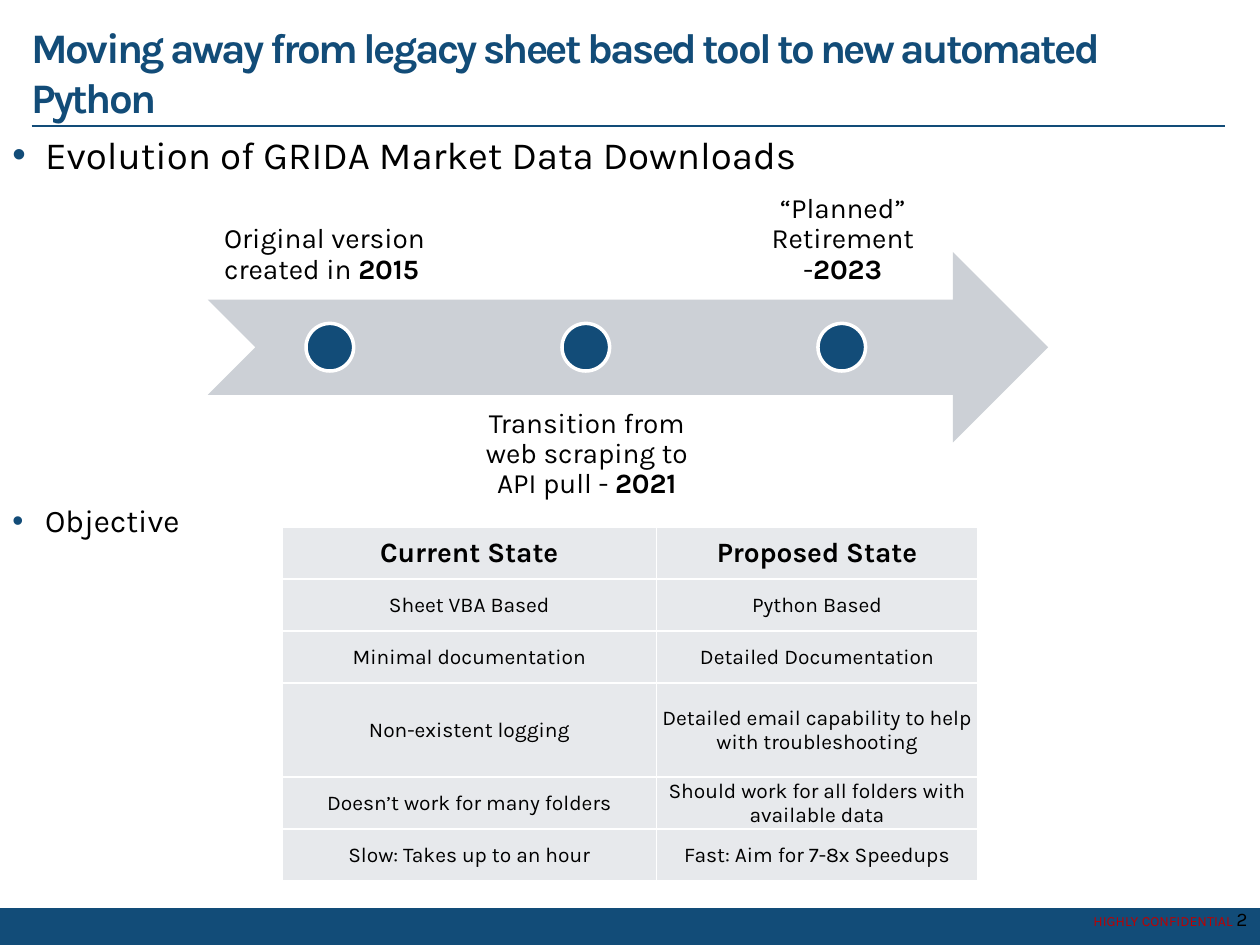
from dataclasses import dataclass

from lxml import etree
from pptx import Presentation
from pptx.dml.color import RGBColor
from pptx.enum.shapes import MSO_CONNECTOR, MSO_SHAPE
from pptx.enum.text import MSO_ANCHOR, MSO_AUTO_SIZE, PP_ALIGN
from pptx.oxml.ns import qn
from pptx.util import Cm, Pt

LEFT, CENTER, RIGHT = PP_ALIGN.LEFT, PP_ALIGN.CENTER, PP_ALIGN.RIGHT
TOP, MIDDLE, BOTTOM = MSO_ANCHOR.TOP, MSO_ANCHOR.MIDDLE, MSO_ANCHOR.BOTTOM
NO_AUTOSIZE = MSO_AUTO_SIZE.NONE
RECTANGLE, OVAL = MSO_SHAPE.RECTANGLE, MSO_SHAPE.OVAL
NOTCHED_ARROW = MSO_SHAPE.NOTCHED_RIGHT_ARROW
STRAIGHT = MSO_CONNECTOR.STRAIGHT


@dataclass(frozen=True)
class Theme:
    font: str = "Karla"
    navy: str = "124C78"
    black: str = "000000"
    white: str = "FFFFFF"
    red: str = "C00000"
    arrow: str = "CCD0D6"
    cell: str = "E7E9EC"
    title: int = 24
    heading: int = 22
    subheading: int = 18
    label: int = 16
    table: int = 12
    page: int = 11
    notice: int = 8


THEME = Theme()

MILESTONES = [
    ("Original version created in ", "2015", LEFT, True),
    ("Transition from web scraping to API pull - ", "2021", CENTER, False),
    ("“Planned” Retirement -", "2023", CENTER, True),
]
STATES = [
    ("Current State", "Proposed State"),
    ("Sheet VBA Based", "Python Based"),
    ("Minimal documentation", "Detailed Documentation"),
    ("Non-existent logging", "Detailed email capability to help with troubleshooting"),
    ("Doesn’t work for many folders", "Should work for all folders with available data"),
    ("Slow: Takes up to an hour", "Fast: Aim for 7-8x Speedups"),
]


def write_text(paragraph, text, size=THEME.label, color=THEME.black, bold=False,
               align=LEFT, line_spacing=None, tracking=None):
    paragraph.alignment = align
    if line_spacing:
        paragraph.line_spacing = line_spacing
    run = paragraph.add_run()
    run.text = text
    run.font.name = THEME.font
    run.font.size = Pt(size)
    run.font.bold = bold
    run.font.color.rgb = RGBColor.from_string(color)
    if tracking is not None:
        run._r.get_or_add_rPr().set("spc", str(int(tracking * 100)))


def set_frame(frame, anchor=TOP, margin=None, wrap=True):
    frame.word_wrap = wrap
    frame.auto_size = NO_AUTOSIZE
    frame.vertical_anchor = anchor
    if margin is not None:
        frame.margin_left = frame.margin_right = Cm(margin)
        frame.margin_top = frame.margin_bottom = Cm(margin)


def add_text_box(slide, left, top, width, height, **frame_format):
    box = slide.shapes.add_textbox(Cm(left), Cm(top), Cm(width), Cm(height))
    set_frame(box.text_frame, **frame_format)
    return box.text_frame.paragraphs[0]


def add_solid_shape(slide, kind, left, top, width, height, fill, outline=None):
    shape = slide.shapes.add_shape(kind, Cm(left), Cm(top), Cm(width), Cm(height))
    shape.shadow.inherit = False
    shape.fill.solid()
    shape.fill.fore_color.rgb = RGBColor.from_string(fill)
    if outline:
        shape.line.color.rgb = RGBColor.from_string(outline)
        shape.line.width = Pt(2)
    else:
        shape.line.fill.background()


def add_color(parent, color):
    etree.SubElement(parent, qn("a:srgbClr")).set("val", color)


def add_bullet_text(slide, top, text, size):
    paragraph = add_text_box(slide, 0, top, 25.4, 1.2)
    write_text(paragraph, text, size=size)
    properties = paragraph._p.get_or_add_pPr()
    properties.set("marL", str(Cm(0.66)))
    properties.set("indent", str(-Cm(0.66)))
    add_color(etree.SubElement(properties, qn("a:buClr")), THEME.navy)
    etree.SubElement(properties, qn("a:buFont")).set("typeface", "Arial")
    etree.SubElement(properties, qn("a:buChar")).set("char", "•")


def add_title(slide, text):
    title = slide.shapes.title
    title.left, title.top, title.width, title.height = Cm(0.64), Cm(0.36), Cm(24.03), Cm(2.18)
    set_frame(title.text_frame, anchor=MIDDLE, margin=0, wrap=False)
    write_text(title.text_frame.paragraphs[0], text, size=THEME.title,
               color=THEME.navy, bold=True, tracking=-1.5)
    rule = slide.shapes.add_connector(STRAIGHT, Cm(0.64), Cm(2.54), Cm(24.69), Cm(2.54))
    rule.line.color.rgb = RGBColor.from_string(THEME.navy)
    rule.line.width = Pt(1)
    etree.SubElement(rule._element.spPr, qn("a:effectLst"))


def add_footer(slide):
    add_solid_shape(slide, RECTANGLE, 0, 18.31, 25.4, 0.74, THEME.navy)
    paragraph = add_text_box(slide, 19.48, 18.14, 5.92, 0.76, anchor=MIDDLE)
    write_text(paragraph, "HIGHLY CONFIDENTIAL ", size=THEME.notice, color=THEME.red, align=RIGHT)
    write_text(paragraph, "2", size=THEME.page, align=RIGHT)


def add_timeline(slide):
    add_solid_shape(slide, NOTCHED_ARROW, 4.19, 5.08, 16.94, 3.84, THEME.arrow)
    for index, (text, year, align, above) in enumerate(MILESTONES):
        offset = 5.16 * index
        paragraph = add_text_box(slide, 4.22 + offset, 2.21 if above else 7.95, 4.9, 3.84,
                                 anchor=BOTTOM if above else TOP, margin=0.3)
        write_text(paragraph, text, align=align, line_spacing=0.9)
        write_text(paragraph, year, bold=True, align=align, line_spacing=0.9)
        add_solid_shape(slide, OVAL, 6.17 + offset, 6.52, 0.96, 0.96, THEME.navy, THEME.white)


def format_cell(cell, text, header):
    cell.vertical_anchor = MIDDLE
    cell.margin_left = cell.margin_right = cell.margin_top = Cm(0.03)
    cell.margin_bottom = 0
    write_text(cell.text_frame.paragraphs[0], text, align=CENTER, bold=header,
               size=THEME.label if header else THEME.table)
    properties = cell._tc.get_or_add_tcPr()
    for side in ("a:lnL", "a:lnR", "a:lnT", "a:lnB"):
        border = etree.SubElement(properties, qn(side))
        border.set("w", str(Pt(1)))
        add_color(etree.SubElement(border, qn("a:solidFill")), THEME.white)
    cell.fill.solid()
    cell.fill.fore_color.rgb = RGBColor.from_string(THEME.cell)


def add_state_table(slide):
    widths = [7.54, 6.48]
    heights = [1.05, 1.05, 1.05, 1.89, 1.05, 1.05]
    table = slide.shapes.add_table(len(heights), len(widths), Cm(5.69), Cm(10.62),
                                   Cm(sum(widths)), Cm(sum(heights))).table
    table.horz_banding = False
    for column, width in zip(table.columns, widths):
        column.width = Cm(width)
    for row_index, (row, height) in enumerate(zip(table.rows, heights)):
        row.height = Cm(height)
        for cell, text in zip(row.cells, STATES[row_index]):
            format_cell(cell, text, header=row_index == 0)


def main():
    presentation = Presentation()
    presentation.slide_width, presentation.slide_height = Cm(25.4), Cm(19.05)
    slide = presentation.slides.add_slide(presentation.slide_layouts[5])
    add_title(slide, "Moving away from legacy sheet based tool to new automated Python")
    add_footer(slide)
    add_bullet_text(slide, 2.52, "Evolution of GRIDA Market Data Downloads", THEME.heading)
    add_bullet_text(slide, 9.98, "Objective", THEME.subheading)
    add_timeline(slide)
    add_state_table(slide)
    presentation.save("out.pptx")


if __name__ == "__main__":
    main()
